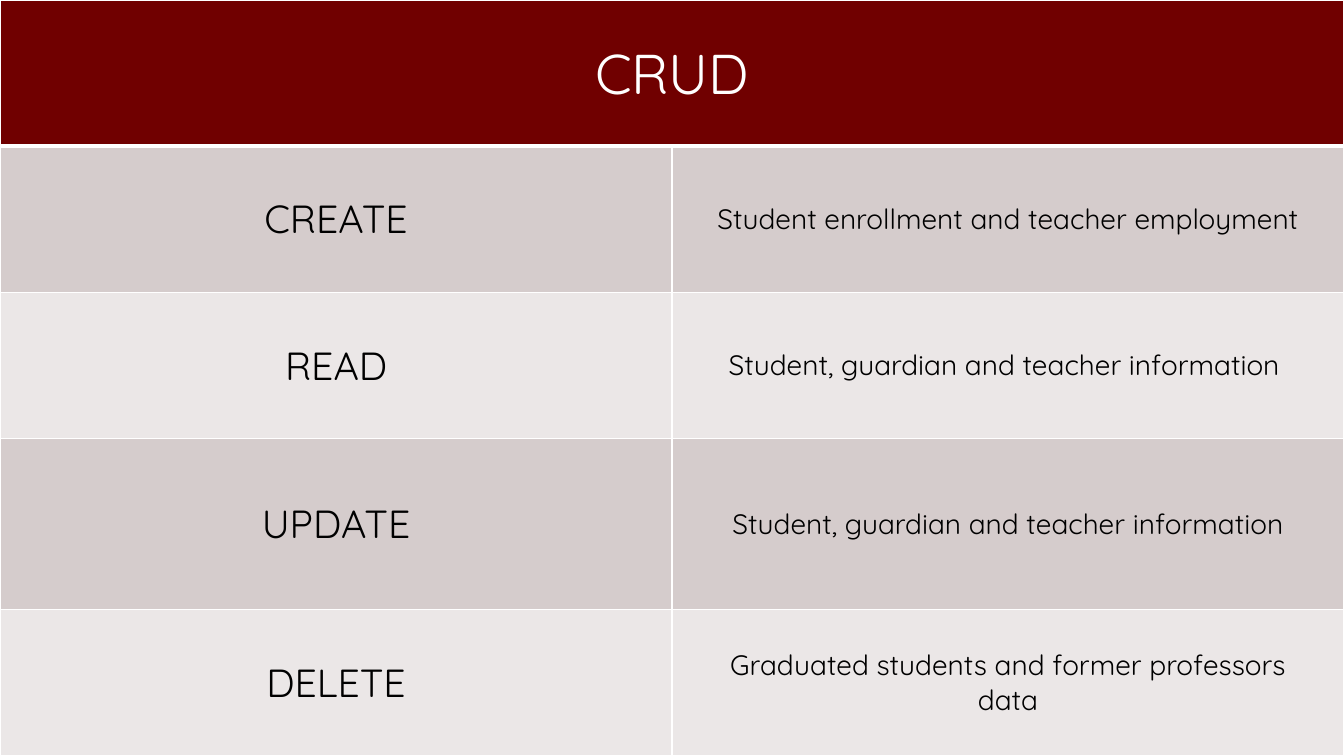
from pptx import Presentation
from pptx.dml.color import RGBColor as RGB
from pptx.enum.text import MSO_ANCHOR as Anchor, PP_ALIGN as Align
from pptx.oxml import parse_xml
from pptx.oxml.ns import nsdecls
from pptx.util import Inches, Pt

TITLE = "CRUD"
OPERATIONS = [
    ("CREATE", "Student enrollment and teacher employment"),
    ("READ", "Student, guardian and teacher information "),
    ("UPDATE", "Student, guardian and teacher information"),
    ("DELETE", "Graduated students and former professors\ndata"),
]
ROW_HEIGHTS = [1.45, 1.45, 1.45, 1.7, 1.45]
WIDTH, HEIGHT = 13.33, 7.5

THEME = {
    "font": "Quicksand",
    "header": "700000",
    "bands": ("D5CCCC", "EBE7E7"),
    "light": "FFFFFF",
    "dark": "000000",
    "title_size": 40,
    "column_sizes": (28, 20),
    "line": 1,
    "header_line": 3,
}


def set_borders(cell, widths):
    tc_pr = cell._tc.get_or_add_tcPr()
    for i, (side, width) in enumerate(widths.items()):
        line = parse_xml(
            f'<a:ln{side} {nsdecls("a")} w="{Pt(width)}"><a:solidFill>'
            f'<a:srgbClr val="{THEME["light"]}"/></a:solidFill></a:ln{side}>'
        )
        tc_pr.insert(i, line)


def format_cell(cell, text, size, color, fill, top, bottom):
    cell.text = text
    cell.vertical_anchor = Anchor.MIDDLE
    cell.fill.solid()
    cell.fill.fore_color.rgb = RGB.from_string(fill)
    font_values = {"name": THEME["font"], "size": Pt(size), "bold": False}
    for p in cell.text_frame.paragraphs:
        p.alignment = Align.CENTER
        for r in p.runs:
            for name, value in font_values.items():
                setattr(r.font, name, value)
            r.font.color.rgb = RGB.from_string(color)
    set_borders(cell, {"L": THEME["line"], "R": THEME["line"], "T": top, "B": bottom})


def main():
    prs = Presentation()
    prs.slide_width, prs.slide_height = Inches(WIDTH), Inches(HEIGHT)
    s = prs.slides.add_slide(prs.slide_layouts[6])
    table = s.shapes.add_table(
        len(ROW_HEIGHTS), 2, 0, 0, prs.slide_width, prs.slide_height
    ).table
    for name in ("first_row", "horz_banding"):
        setattr(table, name, False)
    for row, height in zip(table.rows, ROW_HEIGHTS):
        row.height = Inches(height)

    thin, thick = THEME["line"], THEME["header_line"]
    table.cell(0, 0).merge(table.cell(0, 1))
    for col, text in enumerate((TITLE, "")):
        format_cell(table.cell(0, col), text, THEME["title_size"],
                    THEME["light"], THEME["header"], thin, thick)
    for row, texts in enumerate(OPERATIONS, 1):
        fill = THEME["bands"][(row - 1) % 2]
        top = thick if row == 1 else thin
        for col, (text, size) in enumerate(zip(texts, THEME["column_sizes"])):
            format_cell(table.cell(row, col), text, size, THEME["dark"], fill, top, thin)

    prs.save("out.pptx")


if __name__ == "__main__":
    main()
